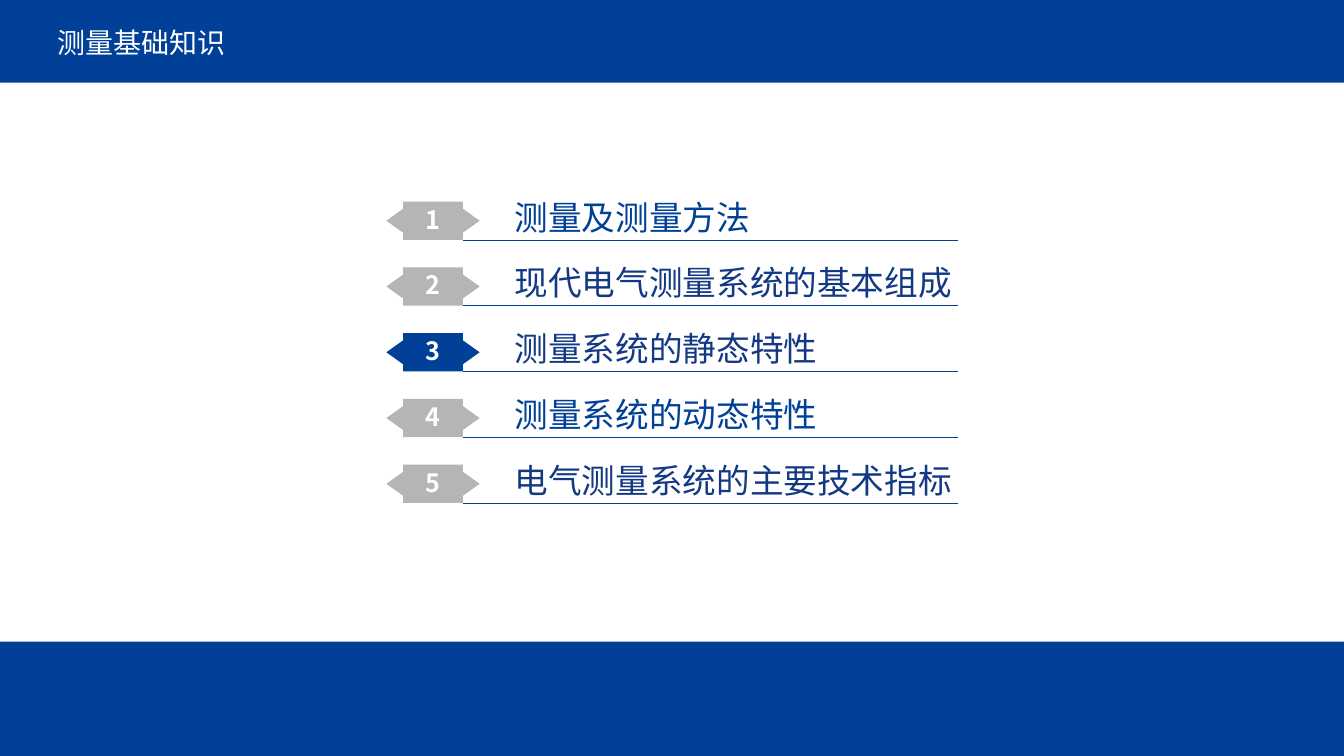
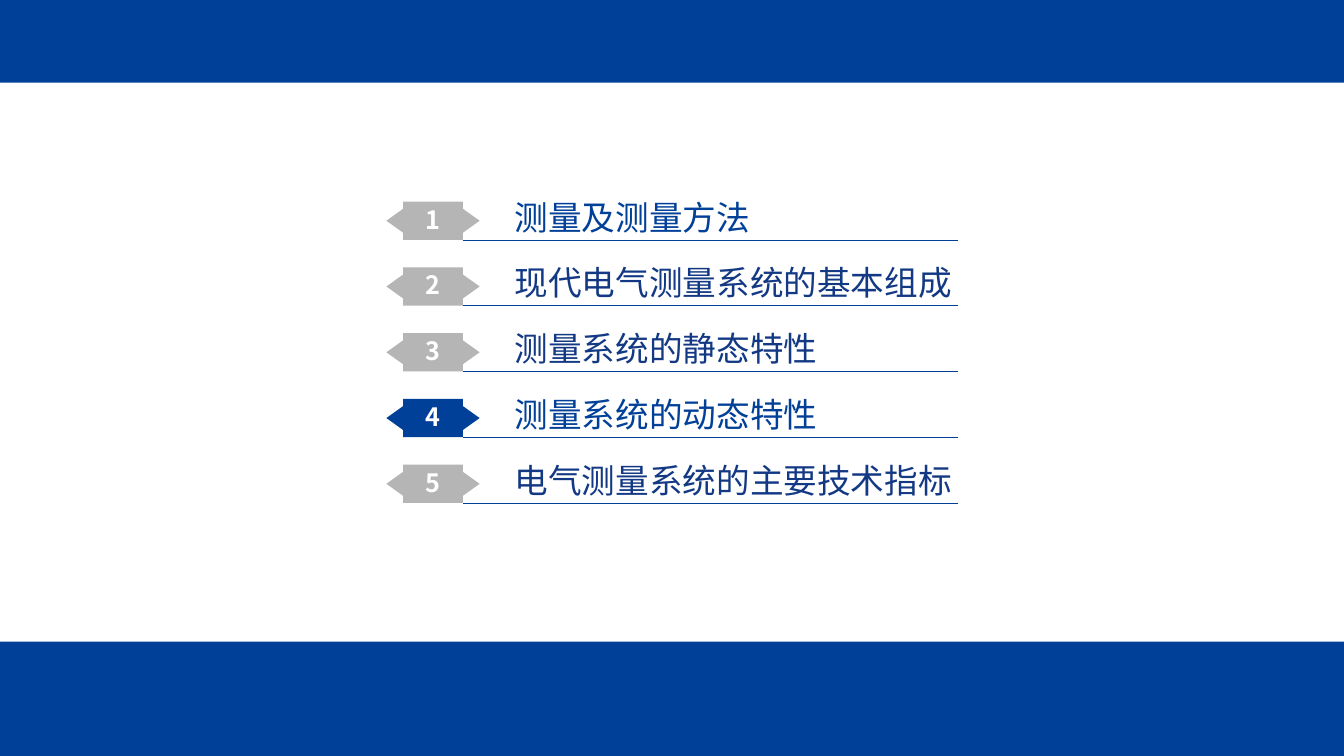
"""Build two agenda slides that mark the current chapter."""
from lxml import etree
from pptx import Presentation
from pptx.dml.color import RGBColor
from pptx.enum.shapes import MSO_CONNECTOR, MSO_SHAPE
from pptx.enum.text import MSO_ANCHOR, MSO_AUTO_SIZE, PP_ALIGN
from pptx.oxml.ns import qn
from pptx.util import Inches, Pt

RECT, LINE = MSO_SHAPE.RECTANGLE, MSO_CONNECTOR.STRAIGHT
TOP, MID = MSO_ANCHOR.TOP, MSO_ANCHOR.MIDDLE
LEFT, CENTER = PP_ALIGN.LEFT, PP_ALIGN.CENTER
FIXED, GROW = MSO_AUTO_SIZE.NONE, MSO_AUTO_SIZE.SHAPE_TO_FIT_TEXT

BLUE = RGBColor(0x00, 0x40, 0x98)
NAVY = RGBColor(0x13, 0x39, 0x84)
GRAY = RGBColor(0xB5, 0xB5, 0xB6)
WHITE = RGBColor(0xFF, 0xFF, 0xFF)
HAN = "Noto Sans CJK SC"

TITLE = {"size": Pt(20), "name": HAN, "bold": False}
BADGE = {"size": Pt(18), "name": HAN, "bold": True}
ITEM = {"size": Pt(24), "bold": False}

TOPICS = [
    ("测量及测量方法", "Karla", BLUE),
    ("现代电气测量系统的基本组成", "Arial", NAVY),
    ("测量系统的静态特性", "Arial", NAVY),
    ("测量系统的动态特性", "Karla", BLUE),
    ("电气测量系统的主要技术指标", "Arial", NAVY),
]
PAGES = [("测量基础知识", 3), (None, 4)]
BANDS = [(76.4, 13.6), (0, 1.44), (1.08, 8.76)]
FIRST, STEP = 24, 7.83
TALL, NOTCH = 4.56, 0.85

deck = Presentation()
deck.slide_width, deck.slide_height = Inches(13.33), Inches(7.5)
COL, ROW = deck.slide_width / 160, deck.slide_height / 90


def grid(*cells):
    """Turn alternating columns and rows into lengths."""
    return [round(n * (ROW if i % 2 else COL)) for i, n in enumerate(cells)]


def write(shape, text, look, color, align, anchor, wrap, fit):
    """Set the text of a shape and its format."""
    frame = shape.text_frame
    frame.word_wrap, frame.auto_size = wrap, fit
    frame.vertical_anchor = anchor
    para = frame.paragraphs[0]
    para.alignment = align
    run = para.add_run()
    run.text = text
    for key, value in look.items():
        setattr(run.font, key, value)
    run.font.color.rgb = color
    for props in shape.element.iter(qn("a:rPr")):
        etree.SubElement(props, qn("a:ea"), typeface=HAN)
    return para


for title, now in PAGES:
    slide = deck.slides.add_slide(deck.slide_layouts[5 if title else 6])

    if title:
        head = slide.shapes.title
        head.left, head.top, head.width, head.height = grid(5.64, 3.1, 113.3, 4.44)
        para = write(head, title, TITLE, WHITE, LEFT, MID, True, FIXED)
        para.line_spacing = 0.9

    for num, (text, face, ink) in enumerate(TOPICS, 1):
        top = FIRST + (num - 1) * STEP
        end = top + TALL
        group = slide.shapes.add_group_shape().shapes

        points = [(55.1, top), (48, top), (48, top + NOTCH), (46, top + TALL / 2),
                  (48, end - NOTCH), (48, end), (55.1, end), (55.1, end - NOTCH),
                  (57.1, top + TALL / 2), (55.1, top + NOTCH)]
        points = [grid(*point) for point in points]
        path = group.build_freeform(*points[0])
        path.add_line_segments(points[1:], close=True)
        badge = path.convert_to_shape()
        badge.shadow.inherit = False
        badge.fill.solid()
        badge.fill.fore_color.rgb = BLUE if num == now else GRAY
        badge.line.fill.background()

        label = group.add_textbox(*grid(49, top - 0.8, 5, 5.76))
        write(label, str(num), BADGE, WHITE, CENTER, MID, False, FIXED)

        rule = group.add_connector(LINE, *grid(55.1, end, 114.1, end))
        rule.line.color.rgb = BLUE
        rule.line.width = Pt(0.5)
        etree.SubElement(rule.element.spPr, qn("a:effectLst"))

        item = group.add_textbox(*grid(60.1, top - 1.2, 57.6, 6))
        write(item, text, {**ITEM, "name": face}, ink, LEFT, TOP, True, GROW)

shapes = deck.slides[0].shapes
for spot, (top, tall) in enumerate(BANDS, 2):
    band = shapes.add_shape(RECT, *grid(0, top, 160, tall))
    band.shadow.inherit = False
    band.fill.solid()
    band.fill.fore_color.rgb = BLUE
    band.line.fill.background()
    deck.slide_master.shapes.element.insert(spot, band.element)

deck.save("out.pptx")
